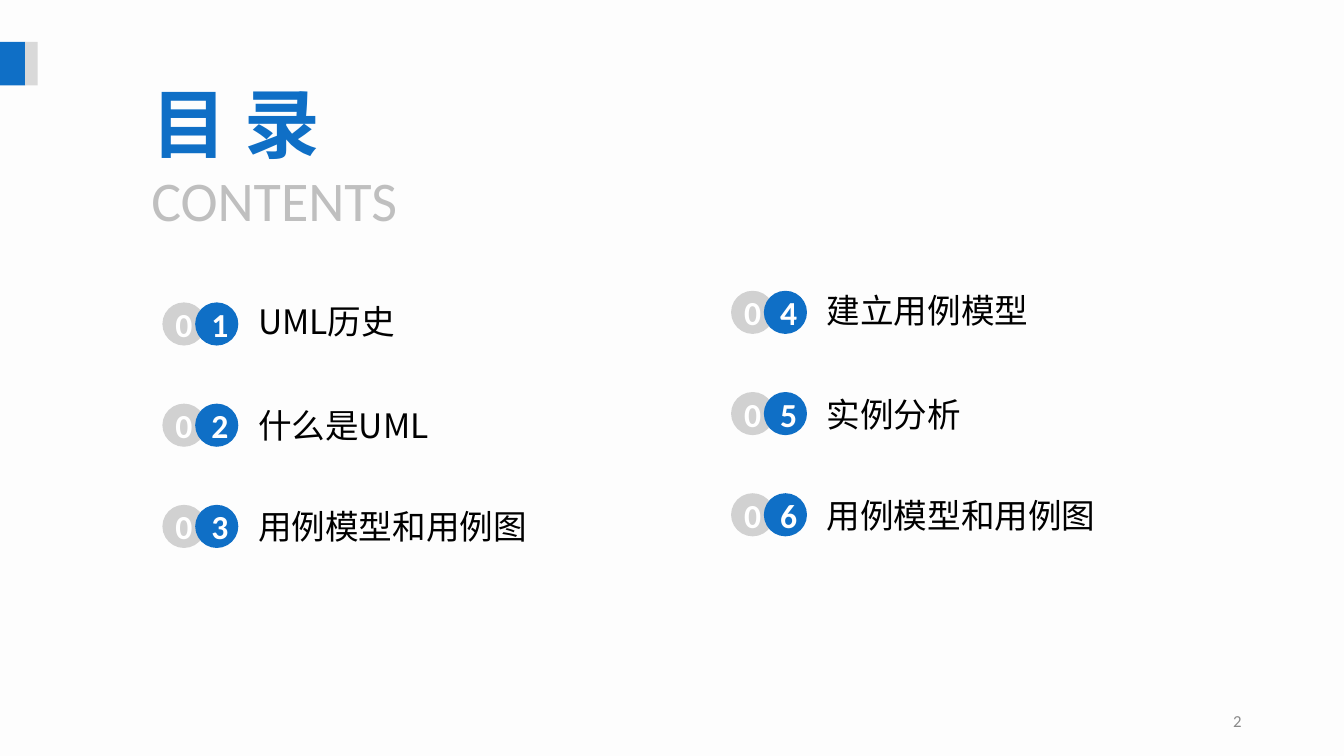
import dataclasses

import lxml.etree
import pptx
import pptx.dml.color
import pptx.enum.shapes
import pptx.enum.text
import pptx.oxml.ns
import pptx.util

Pt = pptx.util.Pt
Align = pptx.enum.text.PP_ALIGN
Anchor = pptx.enum.text.MSO_ANCHOR
Shape = pptx.enum.shapes.MSO_SHAPE


@dataclasses.dataclass(frozen=True)
class Theme:
    backdrop: str = "FDFDFD"
    blue: str = "0F6FC6"
    disc_grey: str = "D1D1D1"
    bar_grey: str = "D9D9D9"
    subtitle_grey: str = "BFBFBF"
    number_grey: str = "898989"
    white: str = "FFFFFF"
    black: str = "000000"
    latin: str = "Calibri"
    chinese: str = "Noto Sans CJK SC"
    title_size: int = 54
    subtitle_size: int = 40
    entry_size: int = 24
    number_size: int = 12


class ContentsSlide:
    def __init__(self, deck, theme):
        self.theme = theme
        self.page = deck.slides.add_slide(deck.slide_layouts[5])
        fill = self.page.background.fill
        fill.solid()
        fill.fore_color.rgb = pptx.dml.color.RGBColor.from_string(theme.backdrop)

    def set_text(self, box, text, size, font, color, bold=False,
                 align=Align.LEFT, anchor=Anchor.TOP, margins=None, spacing=None):
        frame = box.text_frame
        frame.word_wrap = True
        frame.auto_size = pptx.enum.text.MSO_AUTO_SIZE.NONE
        frame.vertical_anchor = anchor
        if margins is not None:
            (frame.margin_left, frame.margin_top,
             frame.margin_right, frame.margin_bottom) = map(Pt, margins)
        para = frame.paragraphs[0]
        para.alignment = align
        if spacing is not None:
            para.line_spacing = spacing
        span = para.add_run()
        span.text = text
        span.font.size = Pt(size)
        span.font.bold = bold
        span.font.color.rgb = pptx.dml.color.RGBColor.from_string(color)
        span.font.name = font
        east_asian = lxml.etree.SubElement(
            span._r.get_or_add_rPr(), pptx.oxml.ns.qn("a:ea"))
        east_asian.set("typeface", font)

    def title(self, text, left, top, width, height):
        box = self.page.shapes.title
        box.left, box.top, box.width, box.height = map(Pt, (left, top, width, height))
        self.set_text(box, text, self.theme.title_size, self.theme.chinese,
                      self.theme.blue, bold=True)

    def label(self, place, text, shapes=None, **style):
        shapes = shapes or self.page.shapes
        self.set_text(shapes.add_textbox(*map(Pt, place)), text, **style)

    def shape(self, kind, place, color, shapes=None):
        if shapes is None:
            shapes = self.page.shapes
        box = shapes.add_shape(kind, *map(Pt, place))
        box.shadow.inherit = False
        box.fill.solid()
        box.fill.fore_color.rgb = pptx.dml.color.RGBColor.from_string(color)
        box.line.fill.background()
        return box

    def entry(self, number, text, left, top, spacing):
        theme = self.theme
        shapes = self.page.shapes.add_group_shape().shapes
        discs = (("0", 0, theme.disc_grey, (0, 0, 0, 0)),
                 (str(number), 23.4, theme.blue, None))
        for digit, offset, color, margins in discs:
            disc = self.shape(Shape.OVAL, (left + offset, top, 30.8, 30.8), color, shapes)
            self.set_text(disc, digit, theme.entry_size, theme.latin, theme.white,
                          bold=True, align=Align.CENTER, anchor=Anchor.MIDDLE,
                          margins=margins)
        self.label((left + 54, top - 8.3, 271, 47.5), text, shapes,
                   size=theme.entry_size, font=theme.chinese, color=theme.black,
                   anchor=Anchor.MIDDLE, margins=(14.4, 0, 0, 0), spacing=spacing)


def main():
    theme = Theme()
    deck = pptx.Presentation()
    deck.slide_width, deck.slide_height = Pt(960), Pt(540)
    contents = ContentsSlide(deck, theme)

    contents.shape(Shape.RECTANGLE, (0, 30, 18, 31), theme.blue)
    contents.shape(Shape.RECTANGLE, (18, 30, 9, 31), theme.bar_grey)
    contents.title("目 录", 101, 51, 194, 73)
    contents.label((101, 115, 194, 55.5), "CONTENTS", size=theme.subtitle_size,
                   font=theme.latin, color=theme.subtitle_grey)

    columns = (
        (116, 216, ("UML历史", "什么是UML", "用例模型和用例图")),
        (522.2, 207.7, ("建立用例模型", "实例分析", "用例模型和用例图")),
    )
    number = 1
    for left, top, topics in columns:
        for row, topic in enumerate(topics):
            spacing = 0.9 if row == 0 else None
            contents.entry(number, topic, left, top + row * 72.3, spacing)
            number += 1

    contents.label((678, 500.5, 216, 28.8), "2", size=theme.number_size,
                   font=theme.latin, color=theme.number_grey,
                   align=Align.RIGHT, anchor=Anchor.MIDDLE)
    deck.save("out.pptx")


if __name__ == "__main__":
    main()
